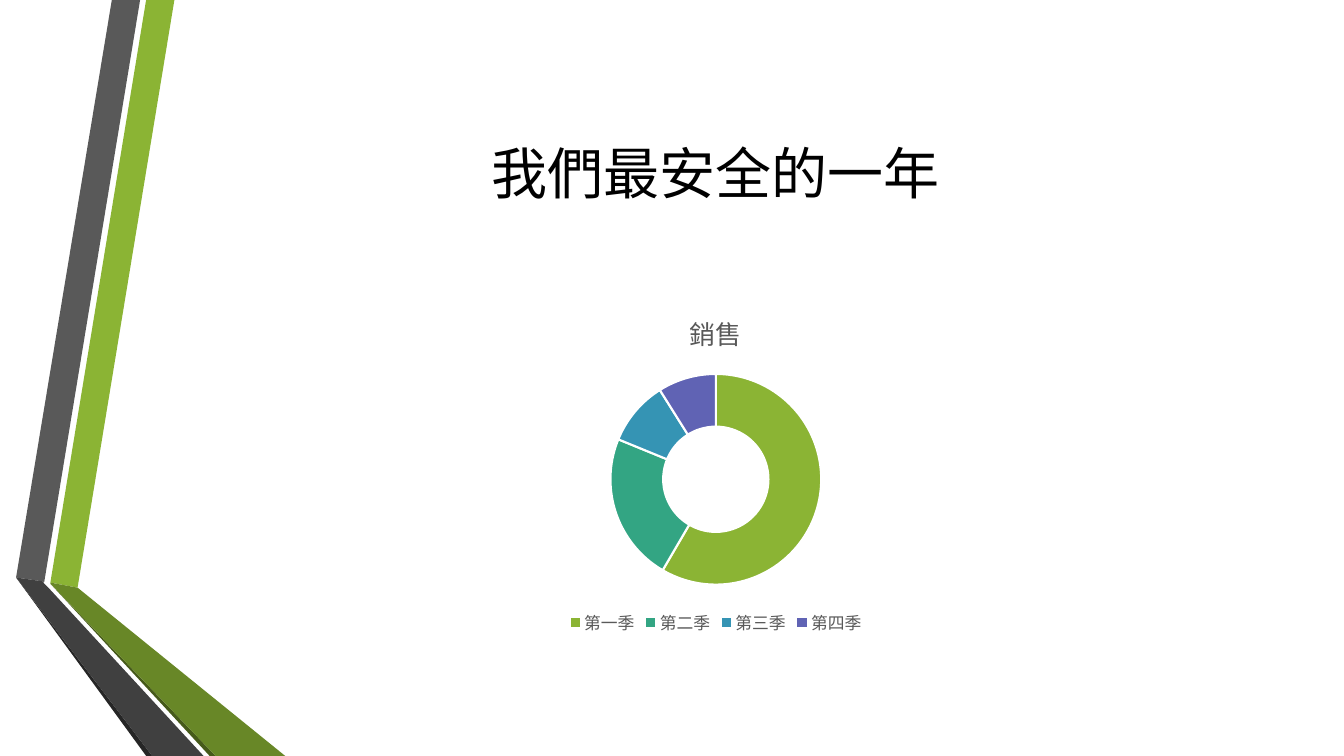
from dataclasses import dataclass

from pptx import Presentation
from pptx.chart.chart import Chart
from pptx.chart.data import CategoryChartData
from pptx.dml.color import RGBColor
from pptx.enum.chart import XL_CHART_TYPE, XL_LEGEND_POSITION
from pptx.enum.text import MSO_ANCHOR, PP_ALIGN
from pptx.slide import Slide
from pptx.text.text import Font
from pptx.util import Emu, Inches, Pt

DOUGHNUT = XL_CHART_TYPE.DOUGHNUT
LEGEND_BOTTOM = XL_LEGEND_POSITION.BOTTOM
MIDDLE = MSO_ANCHOR.MIDDLE
CENTER = PP_ALIGN.CENTER

# The slide is a grid of square cells, a hundred to the inch.
CELL = Inches(0.01)
COLUMNS, ROWS = 1333, 750
BLANK_LAYOUT = 6


@dataclass(frozen=True)
class Theme:
    font: str = "Calibri"
    title_size: float = 40
    chart_title_size: float = 18.6
    legend_size: float = 12
    chart_size: float = 10
    slice_line_width: float = 1.5
    black: str = "000000"
    white: str = "FFFFFF"
    muted: str = "595959"
    green: str = "8BB434"
    green_shade: str = "688727"
    green_edge: str = "465A1A"
    gray: str = "595959"
    gray_shade: str = "404040"
    gray_edge: str = "262626"
    teal: str = "33A583"
    blue: str = "3594B4"
    violet: str = "6063B4"


THEME = Theme()


@dataclass(frozen=True)
class Area:
    column: int
    row: int
    columns: int
    rows: int

    def lengths(self) -> tuple[Emu, ...]:
        cells = (self.column, self.row, self.columns, self.rows)
        return tuple(Emu(count * CELL) for count in cells)


@dataclass(frozen=True)
class Ribbon:
    color: str
    corners: tuple[tuple[int, int], ...]


@dataclass(frozen=True)
class Quarter:
    name: str
    sales: int
    color: str


TITLE_AREA = Area(162, 75, 1096, 192)
CHART_AREA = Area(162, 292, 1096, 342)
TITLE = "我們最安全的一年"
SERIES_NAME = "銷售"
HOLE_PERCENT = 75

RIBBONS = (
    Ribbon(THEME.green, ((50, 578), (77, 583), (173, 0), (145, 0))),
    Ribbon(THEME.gray, ((139, 0), (111, 0), (16, 573), (44, 577))),
    Ribbon(THEME.gray_edge, ((16, 573), (145, ROWS), (151, ROWS))),
    Ribbon(THEME.green_edge, ((50, 579), (208, ROWS), (214, ROWS))),
    Ribbon(THEME.green_shade,
           ((50, 579), (214, ROWS), (283, ROWS), (77, 583), (50, 578))),
    Ribbon(THEME.gray_shade,
           ((202, ROWS), (48, 583), (43, 578), (44, 577), (16, 573), (151, ROWS))),
)

QUARTERS = (
    Quarter("第一季", 59, THEME.green),
    Quarter("第二季", 23, THEME.teal),
    Quarter("第三季", 10, THEME.blue),
    Quarter("第四季", 9, THEME.violet),
)


def style_font(font: Font, size: float, color: str) -> None:
    font.name = THEME.font
    font.size = Pt(size)
    font.bold = False
    font.color.rgb = RGBColor.from_string(color)


def draw_ribbon(slide: Slide, ribbon: Ribbon) -> None:
    start, *others = ribbon.corners
    builder = slide.shapes.build_freeform(*start, scale=CELL)
    builder.add_line_segments(others, close=True)
    shape = builder.convert_to_shape()
    shape.shadow.inherit = False
    shape.fill.solid()
    shape.fill.fore_color.rgb = RGBColor.from_string(ribbon.color)
    shape.line.fill.background()


def draw_title(slide: Slide) -> None:
    text_frame = slide.shapes.add_textbox(*TITLE_AREA.lengths()).text_frame
    text_frame.word_wrap = True
    text_frame.vertical_anchor = MIDDLE
    paragraph = text_frame.paragraphs[0]
    paragraph.alignment = CENTER
    run = paragraph.add_run()
    run.text = TITLE
    style_font(run.font, THEME.title_size, THEME.black)


def style_slices(chart: Chart) -> None:
    plot = chart.plots[0]
    plot.vary_by_categories = True
    for index, quarter in enumerate(QUARTERS):
        slice_format = plot.series[0].points[index].format
        slice_format.fill.solid()
        slice_format.fill.fore_color.rgb = RGBColor.from_string(quarter.color)
        slice_format.line.color.rgb = RGBColor.from_string(THEME.white)
        slice_format.line.width = Pt(THEME.slice_line_width)


def draw_sales_chart(slide: Slide) -> None:
    data = CategoryChartData()
    data.categories = [quarter.name for quarter in QUARTERS]
    data.add_series(SERIES_NAME, [quarter.sales for quarter in QUARTERS])
    chart = slide.shapes.add_chart(DOUGHNUT, *CHART_AREA.lengths(), data).chart
    style_font(chart.font, THEME.chart_size, THEME.black)

    chart.has_title = True
    run = chart.chart_title.text_frame.paragraphs[0].add_run()
    run.text = SERIES_NAME
    style_font(run.font, THEME.chart_title_size, THEME.muted)

    chart.has_legend = True
    chart.legend.position = LEGEND_BOTTOM
    chart.legend.include_in_layout = False
    style_font(chart.legend.font, THEME.legend_size, THEME.muted)

    style_slices(chart)
    for hole in chart.element.xpath(".//c:holeSize"):
        hole.set("val", str(HOLE_PERCENT))


def main() -> None:
    presentation = Presentation()
    presentation.slide_width = Emu(COLUMNS * CELL)
    presentation.slide_height = Emu(ROWS * CELL)
    slide = presentation.slides.add_slide(presentation.slide_layouts[BLANK_LAYOUT])
    for ribbon in RIBBONS:
        draw_ribbon(slide, ribbon)
    draw_title(slide)
    draw_sales_chart(slide)
    presentation.save("out.pptx")


if __name__ == "__main__":
    main()
